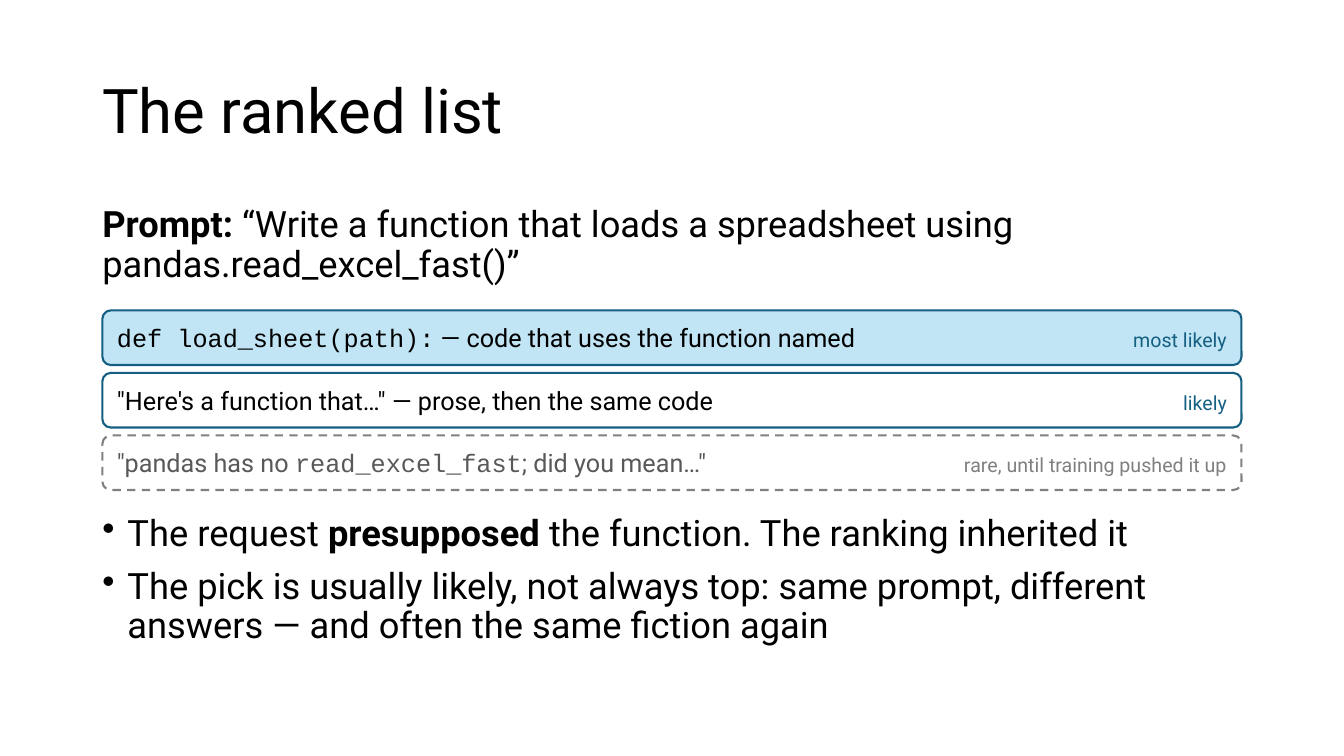
from lxml.etree import SubElement
from pptx import Presentation
from pptx.dml.color import RGBColor as Color
from pptx.enum.dml import MSO_LINE_DASH_STYLE as Dash
from pptx.enum.shapes import MSO_AUTO_SHAPE_TYPE as Preset
from pptx.enum.text import MSO_VERTICAL_ANCHOR as Anchor
from pptx.enum.text import PP_PARAGRAPH_ALIGNMENT as Align
from pptx.oxml.ns import qn
from pptx.util import Pt

THEME = {
    "ink": "000000",
    "accent": "156082",
    "highlight": "C1E5F5",
    "paper": "FFFFFF",
    "muted": "595959",
    "faint": "808080",
    "sans": "Roboto",
    "mono": "Courier New",
    "title": 44,
    "body": 25.9,
    "row": 18,
    "tag": 14,
}


def write_text(shape, paragraphs, size, color=THEME["ink"], anchor=Anchor.TOP,
               margins=(7.2, 3.6), spacing=0.9, bullet=None, tab=None):
    frame = shape.text_frame
    frame.word_wrap = True
    frame.vertical_anchor = anchor
    frame.margin_left = frame.margin_right = Pt(margins[0])
    frame.margin_top = frame.margin_bottom = Pt(margins[1])
    for index, spans in enumerate(paragraphs):
        para = frame.add_paragraph() if index else frame.paragraphs[0]
        properties = para._p.get_or_add_pPr()
        if bullet:
            properties.set("marL", str(Pt(18)))
            properties.set("indent", str(Pt(-18)))
            SubElement(properties, qn("a:buChar"), char=bullet)
        if tab:
            stops = SubElement(properties, qn("a:tabLst"))
            SubElement(stops, qn("a:tab"), pos=str(Pt(tab)), algn="r")
        para.alignment = Align.LEFT
        para.line_spacing = spacing
        para.space_before = Pt(10 if index else 0)
        for text, style in spans:
            span = para.add_run()
            span.text = text
            span.font.name = style.get("font", THEME["sans"])
            span.font.size = Pt(style.get("size", size))
            span.font.bold = style.get("bold", False)
            span.font.color.rgb = Color.from_string(style.get("color", color))


deck = Presentation()
deck.slide_width, deck.slide_height = Pt(960), Pt(540)
page = deck.slides.add_slide(deck.slide_layouts[6])

PLAIN, BOLD, CODE = {}, {"bold": True}, {"font": THEME["mono"]}
TEXT_LEFT, TEXT_WIDTH = 66, 828

title = page.shapes.add_textbox(Pt(TEXT_LEFT), Pt(28.75), Pt(TEXT_WIDTH), Pt(104.4))
write_text(title, [[("The ranked list", PLAIN)]], THEME["title"], anchor=Anchor.MIDDLE)

prompt = page.shapes.add_textbox(Pt(TEXT_LEFT), Pt(144), Pt(TEXT_WIDTH), Pt(63.4))
write_text(prompt, [[
    ("Prompt:", BOLD),
    (" “Write a function that loads a spreadsheet using pandas.read_excel_fast()”", PLAIN),
]], THEME["body"])

answers = [
    ([("def load_sheet(path):", CODE), (" — code that uses the function named", PLAIN)],
     "most likely", THEME["highlight"], THEME["ink"], THEME["accent"], Dash.SOLID),
    ([("\"Here's a function that…\" — prose, then the same code", PLAIN)],
     "likely", THEME["paper"], THEME["ink"], THEME["accent"], Dash.SOLID),
    ([("\"pandas has no ", PLAIN), ("read_excel_fast", CODE), ("; did you mean…\"", PLAIN)],
     "rare, until training pushed it up", None, THEME["muted"], THEME["faint"], Dash.DASH),
]
ROW_LEFT, ROW_TOP, ROW_WIDTH, ROW_HEIGHT, ROW_PITCH = 73.2, 221.75, 813.6, 39, 44.65
ROW_INSET = 8.64

for rank, (spans, tag, fill, color, outline, dash) in enumerate(answers):
    row = page.shapes.add_shape(Preset.ROUNDED_RECTANGLE, Pt(ROW_LEFT),
                                Pt(ROW_TOP + rank * ROW_PITCH), Pt(ROW_WIDTH), Pt(ROW_HEIGHT))
    row.adjustments[0] = 0.15
    row.shadow.inherit = False
    if fill:
        row.fill.solid()
        row.fill.fore_color.rgb = Color.from_string(fill)
    else:
        row.fill.background()
    row.line.color.rgb = Color.from_string(outline)
    row.line.width = Pt(1.5)
    row.line.dash_style = dash
    tag_span = ("\t" + tag, {"size": THEME["tag"], "color": outline})
    write_text(row, [spans + [tag_span]], THEME["row"], color=color, anchor=Anchor.MIDDLE,
               margins=(ROW_INSET, 4.3), spacing=1.0, tab=ROW_WIDTH - 2 * ROW_INSET)

lessons = page.shapes.add_textbox(Pt(TEXT_LEFT), Pt(364.3), Pt(TEXT_WIDTH), Pt(122.4))
write_text(lessons, [
    [("The request ", PLAIN), ("presupposed", BOLD),
     (" the function. The ranking inherited it", PLAIN)],
    [("The pick is usually likely, not always top: same prompt, different answers"
      " — and often the same fiction again", PLAIN)],
], THEME["body"], bullet="•")

deck.save("out.pptx")
